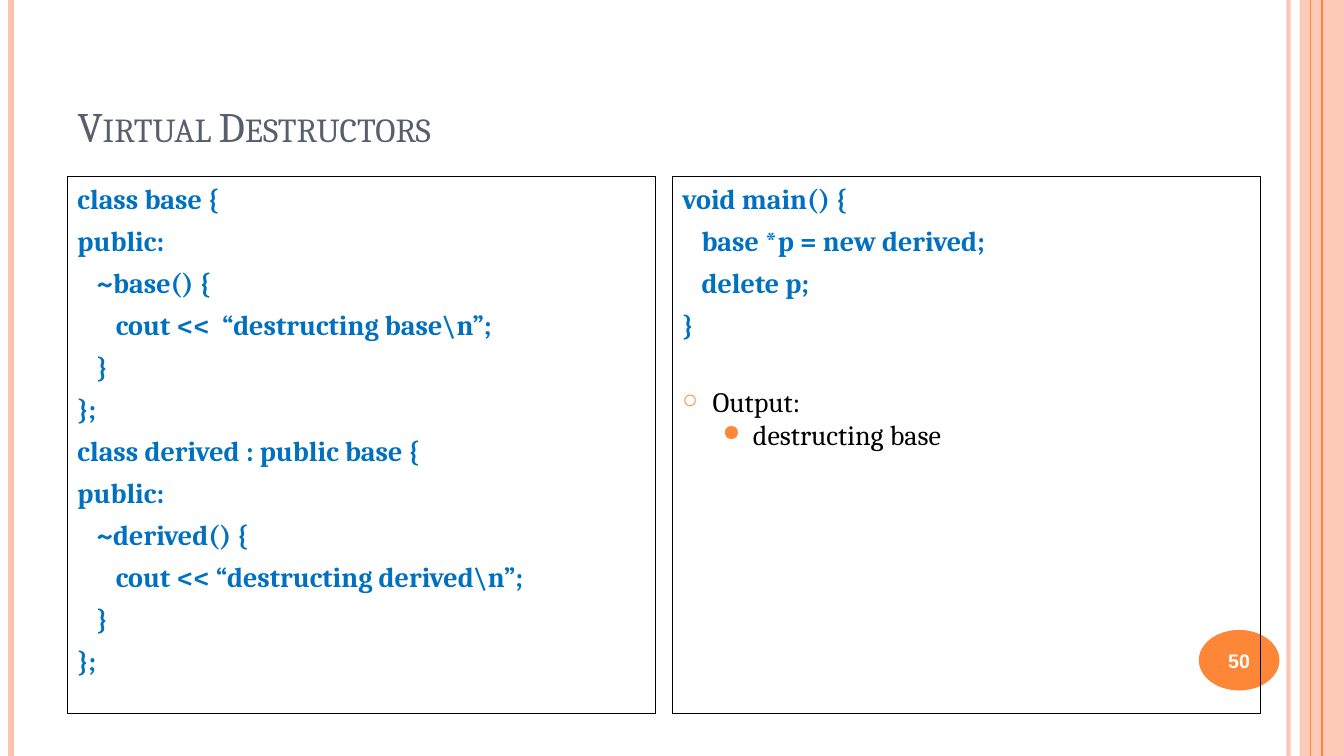
from lxml import etree
from pptx import Presentation
from pptx.dml.color import RGBColor
from pptx.enum import shapes, text
from pptx.oxml import ns
from pptx.util import Inches, Pt

PEACH = RGBColor(0xFE, 0xC3, 0xAE)
ORANGE = RGBColor(0xFE, 0x86, 0x37)
SLATE = RGBColor(0x57, 0x5F, 0x6D)
BLUE = RGBColor(0x00, 0x70, 0xC0)
BLACK = RGBColor(0, 0, 0)
WHITE = RGBColor(0xFF, 0xFF, 0xFF)

INDENT = 0.19

BASE_CODE = [
    (0, "class base {"),
    (0, "public:"),
    (1, "~base() {"),
    (2, "cout <<  “destructing base\\n”;"),
    (1, "}"),
    (0, "};"),
    (0, "class derived : public base {"),
    (0, "public:"),
    (1, "~derived() {"),
    (2, "cout << “destructing derived\\n”;"),
    (1, "}"),
    (0, "};"),
]
MAIN_CODE = [
    (0, "void main() {"),
    (1, "base *p = new derived;"),
    (1, "delete p;"),
    (0, "}"),
]
OUTPUT = [
    ("Output:", 0, 0.3, 36, "○", 70),
    ("destructing base", 1, 0.7, 4, "●", 80),
]


def set_alpha(fill, percent):
    color = fill._xPr.find(".//" + ns.qn("a:srgbClr"))
    etree.SubElement(color, ns.qn("a:alpha"), val=str(percent * 1000))


def style(para, size, color, bold=False, name="Cambria"):
    para.font.size = Pt(size)
    para.font.name = name
    para.font.bold = bold
    para.font.color.rgb = color


deck = Presentation()
deck.slide_width = Inches(13.33)
deck.slide_height = Inches(7.5)
page = deck.slides.add_slide(deck.slide_layouts[5])

band = page.shapes.add_shape(
    shapes.MSO_SHAPE.RECTANGLE, Inches(12.89), 0, Inches(0.44), Inches(7.5))
band.shadow.inherit = False
band.fill.solid()
band.fill.fore_color.rgb = PEACH
set_alpha(band.fill, 87)
band.line.fill.background()

for x, color, width, alpha in [
    (12.78, PEACH, 3, 93),
    (0.11, PEACH, 4.5, 100),
    (13.11, ORANGE, 1.5, 100),
    (13, ORANGE, 0.75, 100),
]:
    stripe = page.shapes.add_connector(
        shapes.MSO_CONNECTOR.STRAIGHT, Inches(x), 0, Inches(x), Inches(7.5))
    stripe.line.color.rgb = color
    stripe.line.width = Pt(width)
    if alpha < 100:
        set_alpha(stripe.line.fill, alpha)
    etree.SubElement(stripe._element.spPr, ns.qn("a:effectLst"))

badge = page.shapes.add_shape(
    shapes.MSO_SHAPE.OVAL, Inches(11.89), Inches(6.25), Inches(0.8), Inches(0.6))
badge.shadow.inherit = False
badge.fill.solid()
badge.fill.fore_color.rgb = ORANGE
badge.line.fill.background()
number = badge.text_frame
number.vertical_anchor = text.MSO_ANCHOR.MIDDLE
number.text = "50"
number.paragraphs[0].alignment = text.PP_ALIGN.CENTER
style(number.paragraphs[0], 14, WHITE, True, "Arial")

title = page.shapes.title
title.left, title.top = Inches(0.67), Inches(0.3)
title.width, title.height = Inches(11.22), Inches(1.25)
heading = title.text_frame
heading.auto_size = text.MSO_AUTO_SIZE.NONE
heading.vertical_anchor = text.MSO_ANCHOR.BOTTOM
heading.text = "Virtual Destructors"
heading.paragraphs[0].alignment = text.PP_ALIGN.LEFT
style(heading.paragraphs[0], 30, SLATE)
heading.paragraphs[0].runs[0]._r.get_or_add_rPr().set("cap", "small")

for left, code in [(0.67, BASE_CODE), (6.67, MAIN_CODE)]:
    box = page.shapes.add_textbox(
        Inches(left), Inches(1.75), Inches(5.83), Inches(5.33))
    box.line.color.rgb = BLACK
    box.line.width = Pt(0.75)
    frame = box.text_frame
    frame.word_wrap = True
    for index, (depth, line) in enumerate(code):
        para = frame.add_paragraph() if index else frame.paragraphs[0]
        para.text = line
        para.space_before = Pt(6)
        para._p.get_or_add_pPr().set("marL", str(Inches(depth * INDENT)))
        style(para, 20, BLUE, True)

for line, level, margin, gap, bullet, size in OUTPUT:
    para = frame.add_paragraph()
    para.text = line
    para.level = level
    para.line_spacing = 0.8
    para.space_before = Pt(gap)
    style(para, 20, BLACK)
    props = para._p.get_or_add_pPr()
    props.set("marL", str(Inches(margin)))
    props.set("indent", str(Inches(-0.3)))
    bullet_color = etree.Element(ns.qn("a:buClr"))
    etree.SubElement(bullet_color, ns.qn("a:srgbClr"), val=str(ORANGE))
    bullet_size = etree.Element(ns.qn("a:buSzPct"), val=str(size * 1000))
    bullet_char = etree.Element(ns.qn("a:buChar"), char=bullet)
    for part in (bullet_color, bullet_size, bullet_char):
        props.find(ns.qn("a:defRPr")).addprevious(part)

deck.save("out.pptx")
